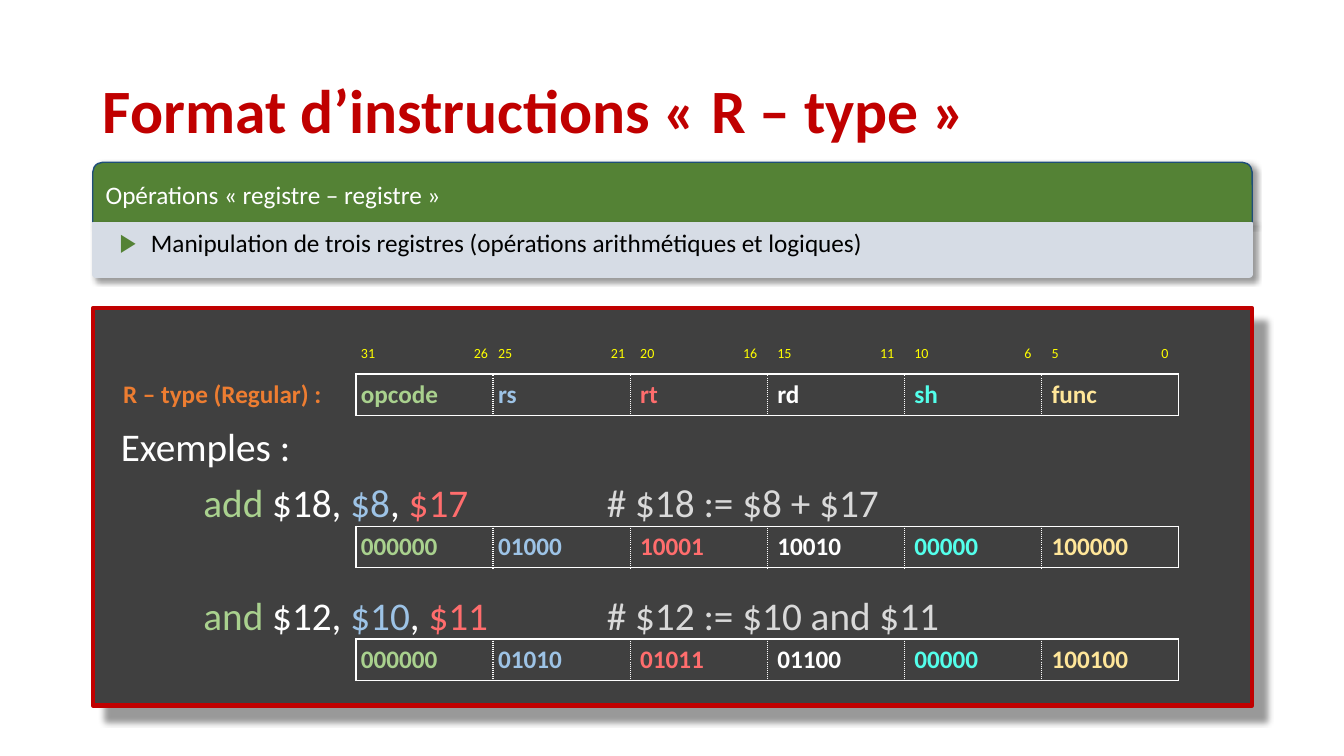
from dataclasses import dataclass

from lxml.etree import SubElement
from pptx import Presentation
from pptx.dml.color import RGBColor
from pptx.enum.shapes import MSO_SHAPE
from pptx.enum.text import MSO_ANCHOR, PP_ALIGN
from pptx.oxml import parse_xml
from pptx.oxml.ns import nsdecls, qn
from pptx.util import Inches, Pt


@dataclass(frozen=True)
class Theme:
    font: str = "Calibri"
    title_size: int = 44
    code_size: int = 28
    text_size: int = 18
    bit_size: int = 10
    red: str = "C00000"
    dark: str = "404040"
    green: str = "548235"
    navy: str = "1F4E79"
    pale: str = "D6DCE5"
    white: str = "FFFFFF"
    black: str = "000000"
    bits: str = "FFFF00"
    label: str = "ED7D31"
    comment: str = "D9D9D9"
    opcode: str = "A9D18E"
    rs: str = "9DC3E6"
    rt: str = "FF6D6D"
    sh: str = "53FFEB"
    func: str = "FFE699"


@dataclass(frozen=True)
class Box:
    left: float
    top: float
    width: float
    height: float

    def inches(self):
        return [Inches(v) for v in (self.left, self.top, self.width, self.height)]


THEME = Theme()
FIELD_COLORS = (THEME.opcode, THEME.rs, THEME.rt, THEME.white, THEME.sh, THEME.func)
LABEL_WIDTH, FIELD_WIDTH = 2.36, 1.36
BIT_ROW, FIELD_ROW = 0.26, 0.41
NO_STYLE = "{2D5ABB26-0587-4C30-8999-92F81FD0307C}"


def write(para, spans, size, bold=False):
    """Fill a paragraph with (text, colour) spans."""
    for text, color in spans:
        span = para.add_run()
        span.text = text
        span.font.name = THEME.font
        span.font.size = Pt(size)
        span.font.bold = bold
        span.font.color.rgb = RGBColor.from_string(color)


def set_tabs(para, stops):
    tab_list = SubElement(para._p.get_or_add_pPr(), qn("a:tabLst"))
    for position, align in stops:
        SubElement(tab_list, qn("a:tab"), pos=str(Inches(position)), algn=align)


def add_panel(shapes, kind, box, fill, line, line_width, shadow_distance):
    """Add a filled, left-aligned shape with a soft diagonal shadow."""
    panel = shapes.add_shape(kind, *box.inches())
    panel.fill.solid()
    panel.fill.fore_color.rgb = RGBColor.from_string(fill)
    panel.line.color.rgb = RGBColor.from_string(line)
    panel.line.width = Pt(line_width)
    panel.shadow.inherit = False
    effects = panel._element.spPr.find(qn("a:effectLst"))
    effects.append(parse_xml(
        f'<a:outerShdw {nsdecls("a")} blurRad="{Pt(4)}" dist="{Pt(shadow_distance)}" '
        f'dir="2700000" algn="tl" rotWithShape="0"><a:srgbClr val="{THEME.black}">'
        '<a:alpha val="40000"/></a:srgbClr></a:outerShdw>'))
    frame = panel.text_frame
    frame.word_wrap = True
    frame.vertical_anchor = MSO_ANCHOR.TOP
    frame.paragraphs[0].alignment = PP_ALIGN.LEFT
    return panel


def add_title(page, box):
    frame = page.shapes.add_textbox(*box.inches()).text_frame
    frame.word_wrap = True
    frame.vertical_anchor = MSO_ANCHOR.MIDDLE
    para = frame.paragraphs[0]
    para.line_spacing = 0.9
    write(para, [("Format d’instructions «\u00a0R – type\u00a0»".replace("\u00a0", " "), THEME.red)],
          THEME.title_size, bold=True)


def add_summary(page, box):
    """Green heading above a pale strip with one bullet."""
    shapes = page.shapes.add_group_shape().shapes
    head_height = 0.6
    head = add_panel(shapes, MSO_SHAPE.ROUND_2_SAME_RECTANGLE,
                     Box(box.left, box.top, box.width, head_height),
                     THEME.green, THEME.navy, 1, 3)
    head.text_frame.vertical_anchor = MSO_ANCHOR.MIDDLE
    write(head.text_frame.paragraphs[0], [("Opérations « registre – registre »", THEME.white)],
          THEME.text_size)

    strip = add_panel(shapes, MSO_SHAPE.ROUND_2_SAME_RECTANGLE,
                      Box(box.left, box.top + head_height, box.width, box.height - head_height),
                      THEME.pale, THEME.pale, 1, 3)
    strip.adjustments[0], strip.adjustments[1] = 0, 0.055
    para = strip.text_frame.paragraphs[0]
    write(para, [("Manipulation de trois registres (opérations arithmétiques et logiques)",
                  THEME.black)], THEME.text_size)
    props = para._p.get_or_add_pPr()
    props.set("marL", str(Inches(0.47)))
    props.set("indent", str(Inches(-0.31)))
    bullet_color = SubElement(props, qn("a:buClr"))
    SubElement(bullet_color, qn("a:srgbClr"), val=THEME.green)
    SubElement(props, qn("a:buFont"), typeface=THEME.font)
    SubElement(props, qn("a:buChar"), char="▶")


def set_borders(cell, dashes):
    """Draw white borders; dashes maps a side (L, R, T, B) to its dash."""
    props = cell._tc.get_or_add_tcPr()
    for index, side in enumerate(side for side in "LRTB" if side in dashes):
        props.insert(index, parse_xml(
            f'<a:ln{side} {nsdecls("a")} w="{Pt(1)}"><a:solidFill>'
            f'<a:srgbClr val="{THEME.white}"/></a:solidFill>'
            f'<a:prstDash val="{dashes[side]}"/></a:ln{side}>'))


def add_fields(page, left, top, values, label="", bit_ranges=()):
    """Add the six instruction fields, with an optional row of bit numbers."""
    heights = [BIT_ROW, FIELD_ROW] if bit_ranges else [FIELD_ROW]
    widths = [LABEL_WIDTH] + [FIELD_WIDTH] * len(values)
    box = Box(left, top, sum(widths), sum(heights))
    graphic = page.shapes.add_table(len(heights), len(widths), *box.inches())
    table = graphic.table
    table.first_row = table.horz_banding = False
    next(graphic._element.iter(qn("a:tableStyleId"))).text = NO_STYLE
    for row, height in zip(table.rows, heights):
        row.height = Inches(height)
    for number, (column, width) in enumerate(zip(table.columns, widths)):
        column.width = Inches(width)
        inset = 0.05 if number < 3 else 0.1
        for row in range(len(heights)):
            cell = table.cell(row, number)
            cell.fill.background()
            cell.vertical_anchor = MSO_ANCHOR.MIDDLE
            cell.margin_left = cell.margin_right = Inches(inset)
            cell.margin_top = cell.margin_bottom = Inches(0.05)
        if number and bit_ranges:
            para = table.cell(0, number).text_frame.paragraphs[0]
            high, low = bit_ranges[number - 1]
            write(para, [(f"{high}\t{low}", THEME.bits)], THEME.bit_size)
            set_tabs(para, [(FIELD_WIDTH - 2 * inset, "r")])

    last = len(heights) - 1
    if label:
        write(table.cell(last, 0).text_frame.paragraphs[0], [(label, THEME.label)],
              THEME.text_size, bold=True)
    set_borders(table.cell(last, 0), {"R": "solid"})
    for number, (value, color) in enumerate(zip(values, FIELD_COLORS), start=1):
        cell = table.cell(last, number)
        write(cell.text_frame.paragraphs[0], [(value, color)], THEME.text_size, bold=True)
        set_borders(cell, {"L": "solid" if number == 1 else "sysDot",
                           "R": "solid" if number == len(values) else "sysDot",
                           "T": "solid", "B": "solid"})


def add_examples(page, box):
    """Dark panel with the field layout and two encoded instructions."""
    panel = add_panel(page.shapes, MSO_SHAPE.RECTANGLE, box, THEME.dark, THEME.red, 3, 14)
    frame = panel.text_frame
    frame.margin_top = Inches(1.18)
    heading = frame.paragraphs[0]
    heading.line_spacing = 0.9
    heading._p.get_or_add_pPr().set("marL", str(Inches(0.18)))
    write(heading, [("Exemples :", THEME.white)], THEME.code_size)

    examples = [
        ("add", "$18", "$8", "$17", "# $18 := $8 + $17", 10, 2.16,
         ("000000", "01000", "10001", "10010", "00000", "100000")),
        ("and", "$12", "$10", "$11", "# $12 := $10 and $11", 50.7, 3.28,
         ("000000", "01010", "01011", "01100", "00000", "100100")),
    ]
    table_left = box.left + 0.25
    for name, target, first, second, comment, gap, table_top, codes in examples:
        para = frame.add_paragraph()
        para.alignment = PP_ALIGN.LEFT
        para.line_spacing = 0.9
        para.space_before = Pt(gap)
        set_tabs(para, [(1, "l"), (5, "l")])
        write(para, [(f"\t{name} ", THEME.opcode), (f"{target}, ", THEME.white),
                     (first, THEME.rs), (", ", THEME.white), (f"{second}\t", THEME.rt),
                     (comment, THEME.comment)], THEME.code_size)
        add_fields(page, table_left, box.top + table_top, codes)
    add_fields(page, table_left, box.top + 0.25, ("opcode", "rs", "rt", "rd", "sh", "func"),
               "R – type (Regular) :",
               ((31, 26), (25, 21), (20, 16), (15, 11), (10, 6), (5, 0)))


def main():
    deck = Presentation()
    deck.slide_width, deck.slide_height = Inches(13.33), Inches(7.5)
    page = deck.slides.add_slide(deck.slide_layouts[6])
    left, width = 0.92, 11.5
    add_title(page, Box(left, 0.4, width, 1.45))
    add_examples(page, Box(left, 3.06, width, 3.94))
    add_summary(page, Box(left, 1.61, width, 1.14))
    deck.save("out.pptx")


if __name__ == "__main__":
    main()
